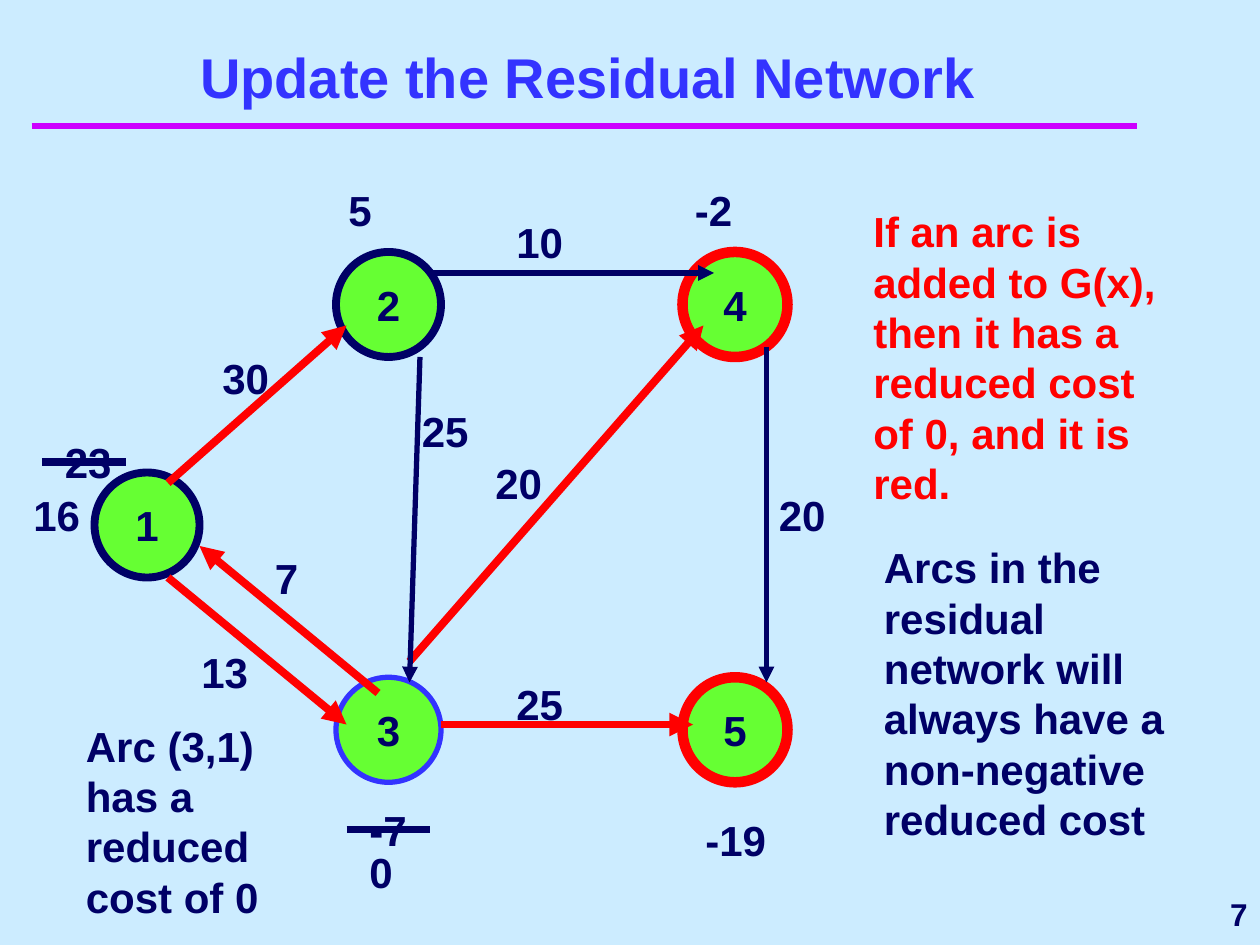
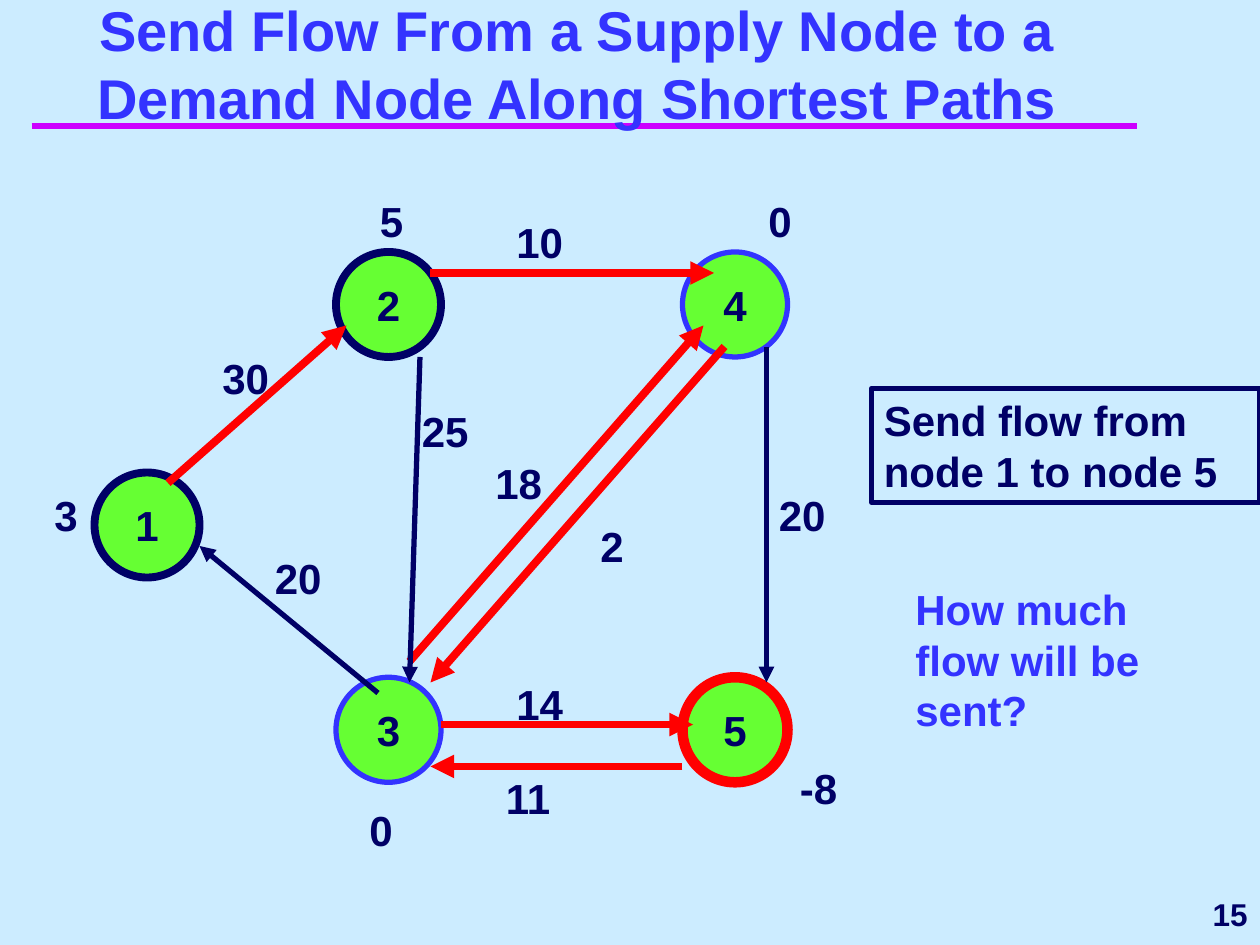
import pptx
import pptx.dml.color
import pptx.enum.shapes
import pptx.enum.text
import pptx.oxml.ns
import pptx.util
from lxml import etree

Pt = pptx.util.Pt
RGBColor = pptx.dml.color.RGBColor
Align = pptx.enum.text.PP_ALIGN
Anchor = pptx.enum.text.MSO_ANCHOR
Shape = pptx.enum.shapes.MSO_SHAPE
Link = pptx.enum.shapes.MSO_CONNECTOR
qn = pptx.oxml.ns.qn

SKY = RGBColor(0xCC, 0xEC, 0xFF)
NAVY = RGBColor(0x00, 0x00, 0x66)
BLUE = RGBColor(0x33, 0x33, 0xFF)
RED = RGBColor(0xFF, 0x00, 0x00)
GREEN = RGBColor(0x66, 0xFF, 0x33)
PURPLE = RGBColor(0xCC, 0x00, 0xFF)

NODES = {1: (54, 270), 2: (192, 144), 3: (192, 387), 4: (390, 144), 5: (390, 387)}
RINGS = {NAVY: 4.5, BLUE: 3, RED: 6}
ARCS = {
    (1, 2): ((96, 276, 198, 186), (120, 198)),
    (2, 4): ((246, 156, 408, 156), (288, 120)),
    (4, 5): ((438, 198, 438, 390), (438, 276)),
    (3, 4): ((234, 378, 402, 186), (276, 258)),
    (1, 3): ((96, 330, 198, 414), (108, 366)),
    (3, 5): ((252, 414, 396, 414), (288, 384)),
    (2, 3): ((240, 204, 234, 390), (234, 228)),
    (3, 1): ((216, 396, 114, 312), (150, 312)),
    (4, 3): ((414, 198, 246, 390), (336, 294)),
    (5, 3): ((390, 438, 246, 438), (282, 438)),
}


class Deck:
    font = {"name": "Arial", "bold": True}

    def __init__(self):
        self.file = pptx.Presentation()
        self.file.slide_width, self.file.slide_height = Pt(720), Pt(540)
        fill = self.file.slide_master.background.fill
        fill.solid()
        fill.fore_color.rgb = SKY

    def start(self, title, spot, number):
        self.slide = self.file.slides.add_slide(self.file.slide_layouts[6])
        self.line((18, 72, 650, 72), PURPLE, 4)
        self.text(title, (*spot, 612, 30), BLUE, 32, Align.CENTER, Anchor.BOTTOM)
        self.text(str(number), (582, 504, 138, 36), NAVY, 18, Align.RIGHT, Anchor.MIDDLE)

    def put(self, shape, words, ink=NAVY, size=24, align=Align.LEFT,
            anchor=Anchor.TOP, wrap=True):
        frame = shape.text_frame
        frame.word_wrap, frame.vertical_anchor = wrap, anchor
        frame.text = words
        par = frame.paragraphs[0]
        par.alignment = align
        font = par.runs[0].font
        for key, value in {**self.font, "size": Pt(size)}.items():
            setattr(font, key, value)
        font.color.rgb = ink

    def text(self, words, box, *style):
        self.put(self.slide.shapes.add_textbox(*map(Pt, box)), words, *style)

    def label(self, words, spot):
        self.text(words, (*spot, 84, 36))

    def shape(self, kind, box, edge, width, fill=None):
        shape = self.slide.shapes.add_shape(kind, *map(Pt, box))
        shape.shadow.inherit = False
        if fill is None:
            shape.fill.background()
        else:
            shape.fill.solid()
            shape.fill.fore_color.rgb = fill
        shape.line.color.rgb, shape.line.width = edge, Pt(width)
        return shape

    def node(self, name, edge):
        disc = self.shape(Shape.OVAL, (*NODES[name], 60, 60), edge, RINGS[edge], GREEN)
        self.put(disc, str(name), NAVY, 24, Align.CENTER, Anchor.MIDDLE, False)

    def frame(self, words, box):
        self.put(self.shape(Shape.RECTANGLE, box, NAVY, 3), words)

    def line(self, ends, ink, width, arrow=False):
        link = self.slide.shapes.add_connector(Link.STRAIGHT, *map(Pt, ends))
        link.line.color.rgb, link.line.width = ink, Pt(width)
        prop = link._element.spPr
        if arrow:
            etree.SubElement(prop.find(qn("a:ln")), qn("a:tailEnd"), type="triangle")
        etree.SubElement(prop, qn("a:effectLst"))

    def graph(self, rings, flows, thin, costs):
        for name, edge in rings.items():
            self.node(name, edge)
        for pair in flows:
            ink, width = (NAVY, 3) if pair in thin else (RED, 4.5)
            self.line(ARCS[pair][0], ink, width, True)
        for pair, flow in flows.items():
            self.label(str(flow), ARCS[pair][1])
        for spot, cost in costs.items():
            self.label(str(cost), spot)


def update(deck):
    deck.start("Update the Residual Network", (30, 36), 7)
    deck.graph(
        {1: NAVY, 2: NAVY, 3: BLUE, 5: RED, 4: RED},
        {(1, 2): 30, (2, 4): 10, (4, 5): 20, (3, 4): 20,
         (1, 3): 13, (3, 5): 25, (2, 3): 25, (3, 1): 7},
        {(2, 4), (4, 5), (2, 3)},
        {(30, 246): 23, (12, 276): 16, (192, 102): 5, (390, 102): -2,
         (204, 456): -7, (204, 480): 0, (396, 462): -19},
    )
    for left, top in ((24, 264), (198, 474)):
        deck.line((left, top, left + 48, top), NAVY, 4.5)
    deck.text("Arc (3,1) has a reduced cost of 0", (42, 408, 144, 122))
    deck.text("If an arc is added to G(x), then it has a reduced cost of 0, and it is red.",
              (492, 114, 180, 180), RED)
    deck.text("Arcs in the residual network will always have a non-negative reduced cost",
              (498, 306, 192, 180))


def send(deck):
    deck.start("Send Flow From a Supply Node to a Demand Node Along Shortest Paths", (24, 48), 15)
    deck.graph(
        {1: NAVY, 2: NAVY, 3: BLUE, 5: RED, 4: BLUE},
        {(1, 2): 30, (2, 4): 10, (4, 5): 20, (3, 4): 18, (3, 5): 14,
         (2, 3): 25, (3, 1): 20, (4, 3): 2, (5, 3): 11},
        {(4, 5), (2, 3), (3, 1)},
        {(24, 276): 3, (210, 108): 5, (432, 108): 0, (204, 456): 0, (450, 432): -8},
    )
    deck.frame("Send flow from node 1 to node 5", (498, 222, 222, 65))
    deck.text("How much flow will be sent?", (516, 330, 156, 94), BLUE)


def main():
    deck = Deck()
    update(deck)
    send(deck)
    deck.file.save("out.pptx")


if __name__ == "__main__":
    main()
